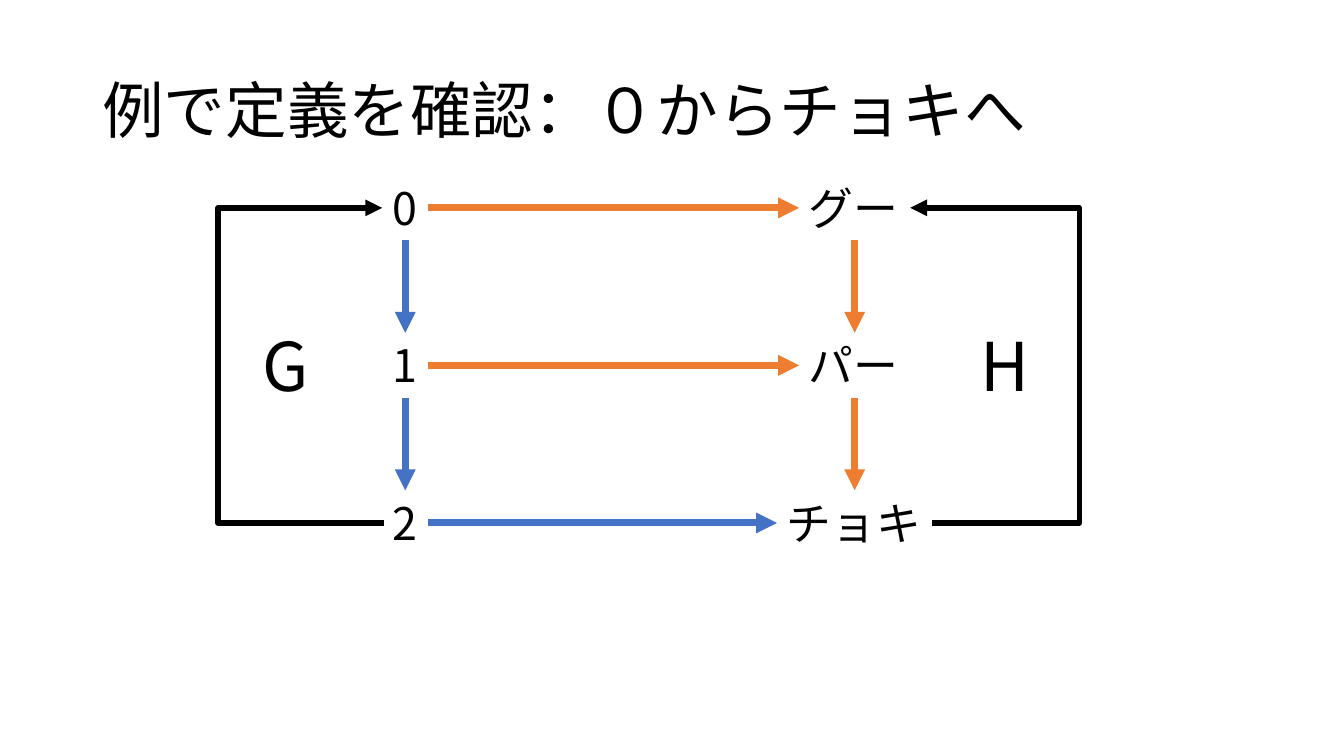
"""Build the slide that checks the definition on a mapping between two cycles."""
from lxml import etree
from pptx import Presentation
from pptx.dml.color import RGBColor
from pptx.enum.shapes import MSO_CONNECTOR
from pptx.enum.text import MSO_ANCHOR
from pptx.oxml.ns import qn
from pptx.util import Emu, Pt

PX = 9525
FONT = "Noto Sans CJK JP"
BLACK = RGBColor(0x00, 0x00, 0x00)
BLUE = RGBColor(0x44, 0x72, 0xC4)
ORANGE = RGBColor(0xED, 0x7D, 0x31)
TOP, LEFT, BOTTOM, RIGHT = range(4)
ROW_TOP, ROW_GAP = 198, 150
G_X, H_X = 386, 814
NODE_H = 62


def px(n):
    return Emu(n * PX)


def add_text(s, text, x, y, w, h, size, wrap=False):
    sp = s.shapes.add_textbox(px(x), px(y), px(w), px(h))
    tf = sp.text_frame
    tf.word_wrap = wrap
    p = tf.paragraphs[0]
    r = p.add_run()
    r.text = text
    r.font.size = Pt(size)
    r.font.name = FONT
    r.font.color.rgb = BLACK
    etree.SubElement(r.font._element, qn("a:ea"), typeface=FONT)
    return sp


def add_title(s, text):
    tf = add_text(s, text, 88, 38, 1104, 140, 44, wrap=True).text_frame
    tf.vertical_anchor = MSO_ANCHOR.MIDDLE
    tf.paragraphs[0].line_spacing = 0.9


def add_node(s, text, cx, row, w):
    cy = ROW_TOP + row * ROW_GAP
    return add_text(s, text, cx - w // 2, cy - NODE_H // 2, w, NODE_H, 32)


def site(sp, side):
    x = sp.left + {LEFT: 0, RIGHT: sp.width}.get(side, sp.width // 2)
    y = sp.top + {TOP: 0, BOTTOM: sp.height}.get(side, sp.height // 2)
    return x, y


def add_arrow(s, kind, begin, end, color, width):
    c = s.shapes.add_connector(kind, *begin, *end)
    c.line.color.rgb = color
    c.line.width = Pt(width)
    etree.SubElement(c.line._get_or_add_ln(), qn("a:tailEnd"), type="triangle")
    etree.SubElement(c._element.spPr, qn("a:effectLst"))
    return c


def link(s, a, a_side, b, b_side, color):
    c = add_arrow(s, MSO_CONNECTOR.STRAIGHT, site(a, a_side), site(b, b_side), color, 5)
    c.begin_connect(a, a_side)
    c.end_connect(b, b_side)


def add_return(s, begin, target, side, bend_x):
    end = site(target, side)
    c = add_arrow(s, MSO_CONNECTOR.ELBOW, begin, end, BLACK, 4)
    c.end_connect(target, side)
    adj = round((px(bend_x) - begin[0]) / (end[0] - begin[0]) * 100000)
    geom = c._element.spPr.find(qn("a:prstGeom"))
    av = geom.find(qn("a:avLst"))
    if av is None:
        av = etree.SubElement(geom, qn("a:avLst"))
    etree.SubElement(av, qn("a:gd"), name="adj1", fmla=f"val {adj}")
    return c


def main():
    prs = Presentation()
    prs.slide_width, prs.slide_height = px(1280), px(720)
    s = prs.slides.add_slide(prs.slide_layouts[6])

    add_title(s, "例で定義を確認：０からチョキへ")
    numbers = [add_node(s, t, G_X, i, 44) for i, t in enumerate("012")]
    hands = [add_node(s, t, H_X, i, w)
             for i, (t, w) in enumerate([("グー", 106), ("パー", 106), ("チョキ", 148)])]

    for number, hand, color in zip(numbers, hands, (ORANGE, ORANGE, BLUE)):
        link(s, number, RIGHT, hand, LEFT, color)
    for column, color in ((numbers, BLUE), (hands, ORANGE)):
        for upper, lower in zip(column, column[1:]):
            link(s, upper, BOTTOM, lower, TOP, color)

    x, y = site(numbers[2], LEFT)
    add_return(s, (x + px(2), y), numbers[0], LEFT, 208)
    c = add_return(s, site(hands[2], RIGHT), hands[0], RIGHT, 1028)
    c.begin_connect(hands[2], RIGHT)

    for name, x in (("G", 241), ("H", 924)):
        add_text(s, name, x, 304, 66, 88, 48)

    prs.save("out.pptx")


if __name__ == "__main__":
    main()
